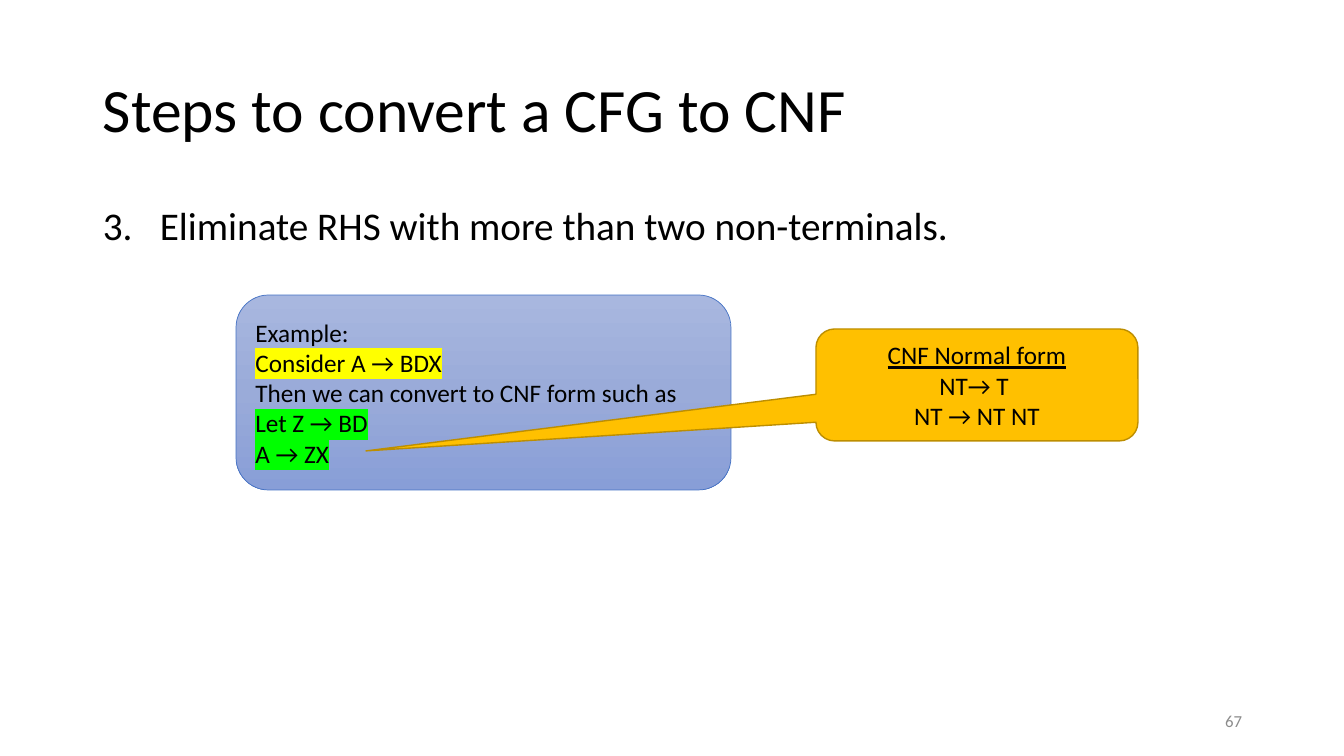
from copy import deepcopy

from pptx import Presentation
from pptx.dml.color import RGBColor
from pptx.enum.shapes import MSO_SHAPE
from pptx.enum.text import MSO_ANCHOR, PP_ALIGN
from pptx.oxml.ns import qn
from pptx.util import Emu, Pt
from lxml import etree

ROUNDED, CALLOUT = MSO_SHAPE.ROUNDED_RECTANGLE, MSO_SHAPE.ROUNDED_RECTANGULAR_CALLOUT
LEFT, CENTER, RIGHT = PP_ALIGN.LEFT, PP_ALIGN.CENTER, PP_ALIGN.RIGHT
TOP, MIDDLE = MSO_ANCHOR.TOP, MSO_ANCHOR.MIDDLE

# Content: each line is its text and, where needed, its own format
TITLE = [("Steps to convert a CFG to CNF", {})]
STEP_NUMBER = 3
STEP = [("Eliminate RHS with more than two non-terminals.", {})]
EXAMPLE = [
    ("Example:", {}),
    ("Consider A → BDX", {"highlight": "yellow"}),
    ("Then we can convert to CNF form such as", {}),
    ("Let Z → BD", {"highlight": "green"}),
    ("A → ZX", {"highlight": "green"}),
]
NORMAL_FORM = [
    ("CNF Normal form", {"underline": True}),
    ("NT→ T ", {}),
    ("NT → NT NT", {}),
]
PAGE_NUMBER = [("67", {})]

COLORS = {
    "text": "000000", "page": "8C8C8C", "yellow": "FFFF00", "green": "00FF00",
    "example_line": "4472C4", "callout": "FFC000", "callout_line": "BD8E00",
}
EXAMPLE_GRADIENT = [(0, "A8B7DF"), (0.5, "9AABD9"), (1, "889ED7")]

# Layout in px: left, top, width, height
PX = 914400 / 100.8
SLIDE_SIZE = (1344, 756)
MARGIN, CONTENT_WIDTH = 93, 1159
TITLE_BOX = (MARGIN, 40, CONTENT_WIDTH, 146)
STEP_BOX = (MARGIN, 202, CONTENT_WIDTH, 480)
EXAMPLE_BOX = (236, 295, 495, 195)
CALLOUT_BOX = (816, 329, 322, 112)
PAGE_BOX = (950, 701, MARGIN + CONTENT_WIDTH - 950, 40)
CALLOUT_TIP = (366, 451)
STEP_INDENT = 57


def px(value):
    return Emu(round(value * PX))


def rgb(name):
    return RGBColor.from_string(COLORS[name])


def write(shape, lines, size=18, color="text", align=LEFT, anchor=MIDDLE,
          spacing=None, number=None):
    frame = shape.text_frame
    frame.word_wrap = True
    frame.vertical_anchor = anchor
    for i, (text, style) in enumerate(lines):
        paragraph = frame.add_paragraph() if i else frame.paragraphs[0]
        if number:
            props = paragraph._p.get_or_add_pPr()
            props.set("marL", str(px(STEP_INDENT)))
            props.set("indent", str(-px(STEP_INDENT)))
            etree.SubElement(props, qn("a:buFont"), typeface="+mj-lt")
            etree.SubElement(props, qn("a:buAutoNum"), type="arabicPeriod",
                             startAt=str(number + i))
        paragraph.alignment = align
        if spacing:
            paragraph.line_spacing = spacing
        run = paragraph.add_run()
        run.text = text
        font = run.font
        font.size, font.name = Pt(size), "Calibri"
        font.color.rgb = rgb(color)
        font.underline = style.get("underline")
        if "highlight" in style:
            mark = etree.Element(qn("a:highlight"))
            etree.SubElement(mark, qn("a:srgbClr"), val=COLORS[style["highlight"]])
            run._r.rPr.find(qn("a:solidFill")).addnext(mark)


def add_text(slide, box, lines, **style):
    write(slide.shapes.add_textbox(*map(px, box)), lines, **style)


def add_box(slide, kind, box, line, width):
    shape = slide.shapes.add_shape(kind, *map(px, box))
    shape.shadow.inherit = False
    shape.line.color.rgb = rgb(line)
    shape.line.width = Pt(width)
    return shape


def main():
    prs = Presentation()
    prs.slide_width, prs.slide_height = map(px, SLIDE_SIZE)
    slide = prs.slides.add_slide(prs.slide_layouts[6])

    # Title and step
    add_text(slide, TITLE_BOX, TITLE, size=44, spacing=0.9)
    add_text(slide, STEP_BOX, STEP, size=28, anchor=TOP, spacing=0.9,
             number=STEP_NUMBER)

    # Example with a three-stop gradient running downwards
    example = add_box(slide, ROUNDED, EXAMPLE_BOX, "example_line", 0.5)
    example.fill.gradient()
    example.fill.gradient_angle = 270
    stops = example._element.spPr.find(".//" + qn("a:gsLst"))
    stops.insert(1, deepcopy(stops[0]))
    for stop, (position, color) in zip(example.fill.gradient_stops, EXAMPLE_GRADIENT):
        stop.position = position
        stop.color.rgb = RGBColor.from_string(color)
    write(example, EXAMPLE)

    # Callout whose tip points at the last rule of the example
    callout = add_box(slide, CALLOUT, CALLOUT_BOX, "callout_line", 1)
    callout.fill.solid()
    callout.fill.fore_color.rgb = rgb("callout")
    left, top, width, height = CALLOUT_BOX
    callout.adjustments[0] = (CALLOUT_TIP[0] - left) / width - 0.5
    callout.adjustments[1] = (CALLOUT_TIP[1] - top) / height - 0.5
    write(callout, NORMAL_FORM, align=CENTER)

    # Page number
    add_text(slide, PAGE_BOX, PAGE_NUMBER, size=12, color="page", align=RIGHT)

    prs.save("out.pptx")


if __name__ == "__main__":
    main()
